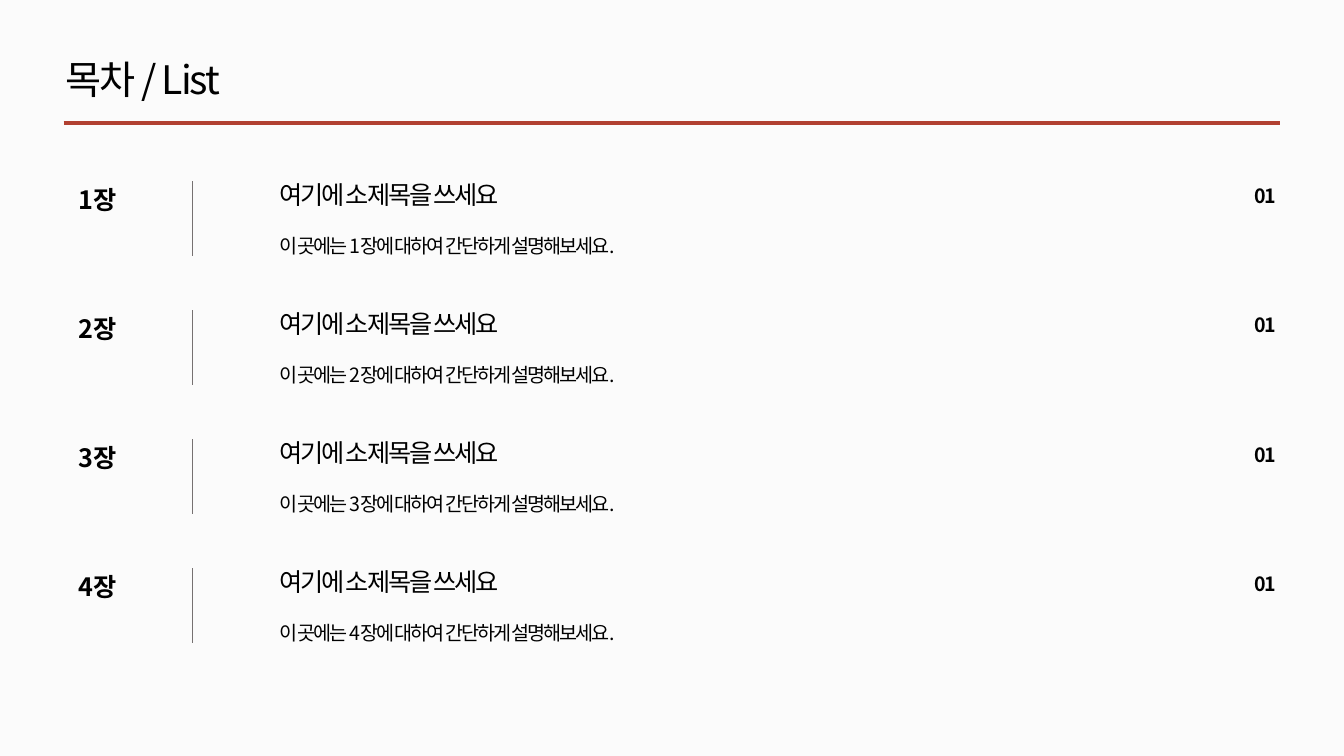
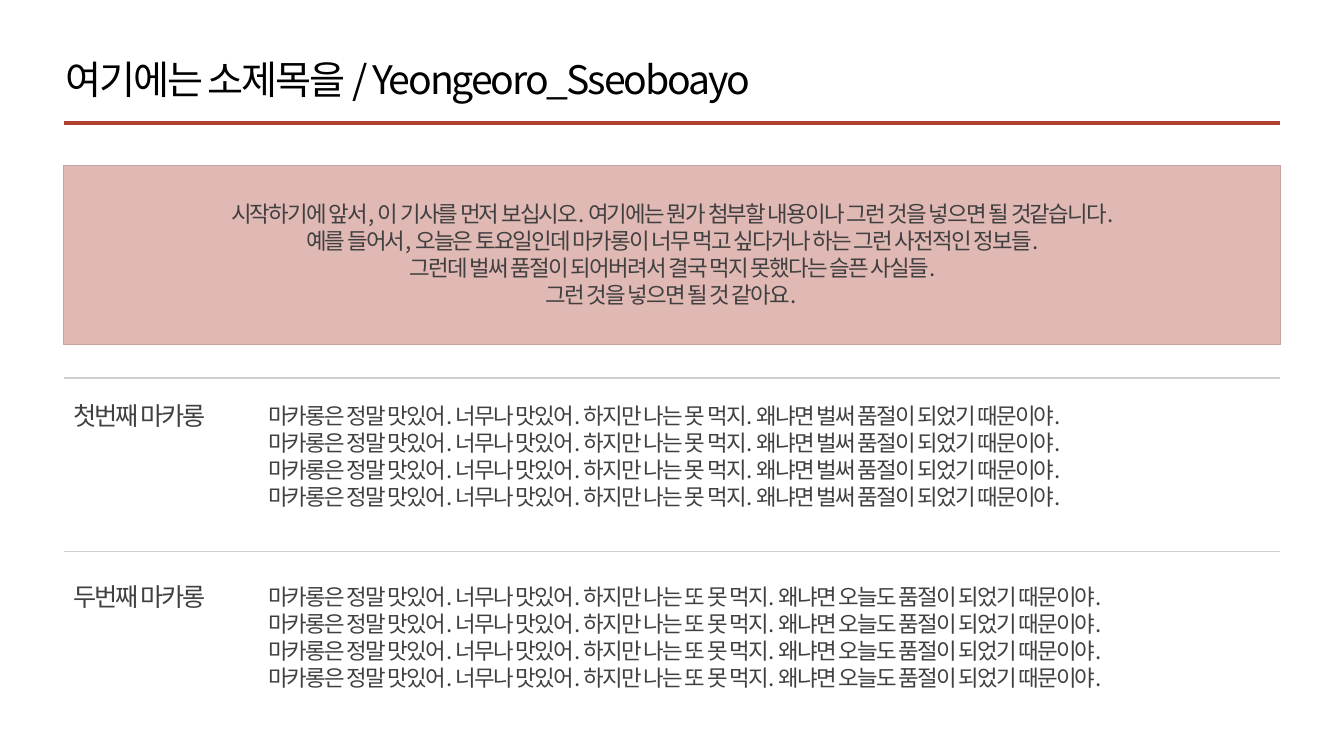
from dataclasses import dataclass

from lxml import etree
from pptx import Presentation
from pptx import util as u
from pptx.dml.color import RGBColor
from pptx.enum import shapes, text
from pptx.oxml.ns import qn


@dataclass(frozen=True)
class Theme:
    font: str = "Noto Sans CJK KR"
    ink: str = "000000"
    body: str = "404040"
    accent: str = "B14031"
    panel: str = "E0B8B4"
    panel_edge: str = "C4A3A0"
    divider: str = "767171"
    rule: str = "D0CECE"
    list_paper: str = "FBFBFB"
    paper: str = "FFFFFF"
    title_size: int = 28
    heading_size: int = 18
    body_size: int = 16
    note_size: int = 14
    tight: float = -1.5
    body_tight: float = -1.2


THEME = Theme()
WIDTH, HEIGHT = 13.33, 7.5
LEFT, RIGHT = 0.63, 12.7
ALIGN = text.PP_ALIGN

# Content
LIST_TITLE = "목차 / List"
CHAPTERS = [
    (f"{number}장", "여기에 소제목을 쓰세요",
     f"이 곳에는 {number}장에 대하여 간단하게 설명해보세요.", "01")
    for number in range(1, 5)
]
TOPIC_TITLE = "여기에는 소제목을 / Yeongeoro_Sseoboayo"
INTRO = [
    "시작하기에 앞서, 이 기사를 먼저 보십시오. 여기에는 뭔가 첨부할 내용이나 그런 것을 넣으면 될 것같습니다.",
    "예를 들어서, 오늘은 토요일인데 마카롱이 너무 먹고 싶다거나 하는 그런 사전적인 정보들.",
    "그런데 벌써 품절이 되어버려서 결국 먹지 못했다는 슬픈 사실들.",
    "그런 것을 넣으면 될 것 같아요. ",
]
# Heading, repeated sentence, rule height, text top
SECTIONS = [
    ("첫번째 마카롱",
     "마카롱은 정말 맛있어. 너무나 맛있어. 하지만 나는 못 먹지. 왜냐면 벌써 품절이 되었기 때문이야.",
     3.75, 3.92),
    ("두번째 마카롱",
     "마카롱은 정말 맛있어. 너무나 맛있어. 하지만 나는 또 못 먹지. 왜냐면 오늘도 품절이 되었기 때문이야.",
     5.47, 5.72),
]
SENTENCE_REPEATS = 4

# Chapter list grid
CHAPTER_TOP, CHAPTER_PITCH = 1.78, 1.28
DIVIDER_X, DIVIDER_HEIGHT = 1.91, 0.74


def color(value):
    return RGBColor.from_string(value)


def add_text(parent, box, lines, size, ink=THEME.ink, bold=False,
             align=ALIGN.LEFT, spacing=THEME.tight):
    shape = parent.shapes.add_textbox(*map(u.Inches, box))
    frame = shape.text_frame
    frame.word_wrap = True
    frame.text = "\n".join(lines)
    for paragraph in frame.paragraphs:
        paragraph.alignment = align
        font = paragraph.font
        font.name, font.size, font.bold = THEME.font, u.Pt(size), bold
        font.color.rgb = color(ink)
        # Letter spacing and the East Asian font
        properties = paragraph._p.pPr.find(qn("a:defRPr"))
        properties.set("spc", str(round(spacing * 100)))
        etree.SubElement(properties, qn("a:ea")).set("typeface", THEME.font)


def add_line(parent, start, end, ink, width):
    line = parent.shapes.add_connector(
        shapes.MSO_CONNECTOR.STRAIGHT, *map(u.Inches, (*start, *end)))
    line.line.color.rgb = color(ink)
    line.line.width = u.Pt(width)
    etree.SubElement(line._element.spPr, qn("a:effectLst"))


def add_slide(presentation, title, paper):
    slide = presentation.slides.add_slide(presentation.slide_layouts[6])
    slide.background.fill.solid()
    slide.background.fill.fore_color.rgb = color(paper)
    add_text(slide, (0.55, 0.5, 9.79, 0.57), [title], THEME.title_size)
    add_line(slide, (LEFT, 1.22), (RIGHT, 1.22), THEME.accent, 3)
    return slide


def build_list(presentation):
    slide = add_slide(presentation, LIST_TITLE, THEME.list_paper)
    for row, (chapter, heading, summary, page) in enumerate(CHAPTERS):
        top = CHAPTER_TOP + row * CHAPTER_PITCH
        group = slide.shapes.add_group_shape()
        add_text(group, (0.68, top, 3.58, 0.4), [chapter],
                 THEME.heading_size, bold=True)
        add_text(group, (2.67, top - 0.05, 3.58, 0.4), [heading],
                 THEME.heading_size)
        add_text(group, (2.67, top + 0.49, 8.66, 0.34), [summary],
                 THEME.note_size)
        add_text(group, (11.2, top, 1.55, 0.34), [page], THEME.note_size,
                 bold=True, align=ALIGN.RIGHT)
        add_line(group, (DIVIDER_X, top + 0.02),
                 (DIVIDER_X, top + 0.02 + DIVIDER_HEIGHT), THEME.divider, 0.5)


def build_topic(presentation):
    slide = add_slide(presentation, TOPIC_TITLE, THEME.paper)

    # Introduction panel
    panel = slide.shapes.add_shape(
        shapes.MSO_SHAPE.RECTANGLE,
        *map(u.Inches, (LEFT, 1.64, RIGHT - LEFT, 1.78)))
    panel.shadow.inherit = False
    panel.fill.solid()
    panel.fill.fore_color.rgb = color(THEME.panel)
    panel.line.color.rgb = color(THEME.panel_edge)
    panel.line.width = u.Pt(0.5)
    add_text(slide, (1.23, 1.94, 10.88, 1.18), INTRO, THEME.body_size,
             THEME.body, align=ALIGN.CENTER, spacing=THEME.body_tight)

    # Ruled sections
    for heading, sentence, rule_y, top in SECTIONS:
        add_line(slide, (LEFT, rule_y), (RIGHT, rule_y), THEME.rule, 1)
        add_text(slide, (LEFT, top, 2.55, 0.4), [heading],
                 THEME.heading_size, THEME.body)
        add_text(slide, (2.56, top + 0.02, 9.92, 1.18),
                 [sentence] * SENTENCE_REPEATS, THEME.body_size, THEME.body,
                 spacing=THEME.body_tight)


def main():
    presentation = Presentation()
    presentation.slide_width = u.Inches(WIDTH)
    presentation.slide_height = u.Inches(HEIGHT)
    build_list(presentation)
    build_topic(presentation)
    presentation.save("out.pptx")


if __name__ == "__main__":
    main()
